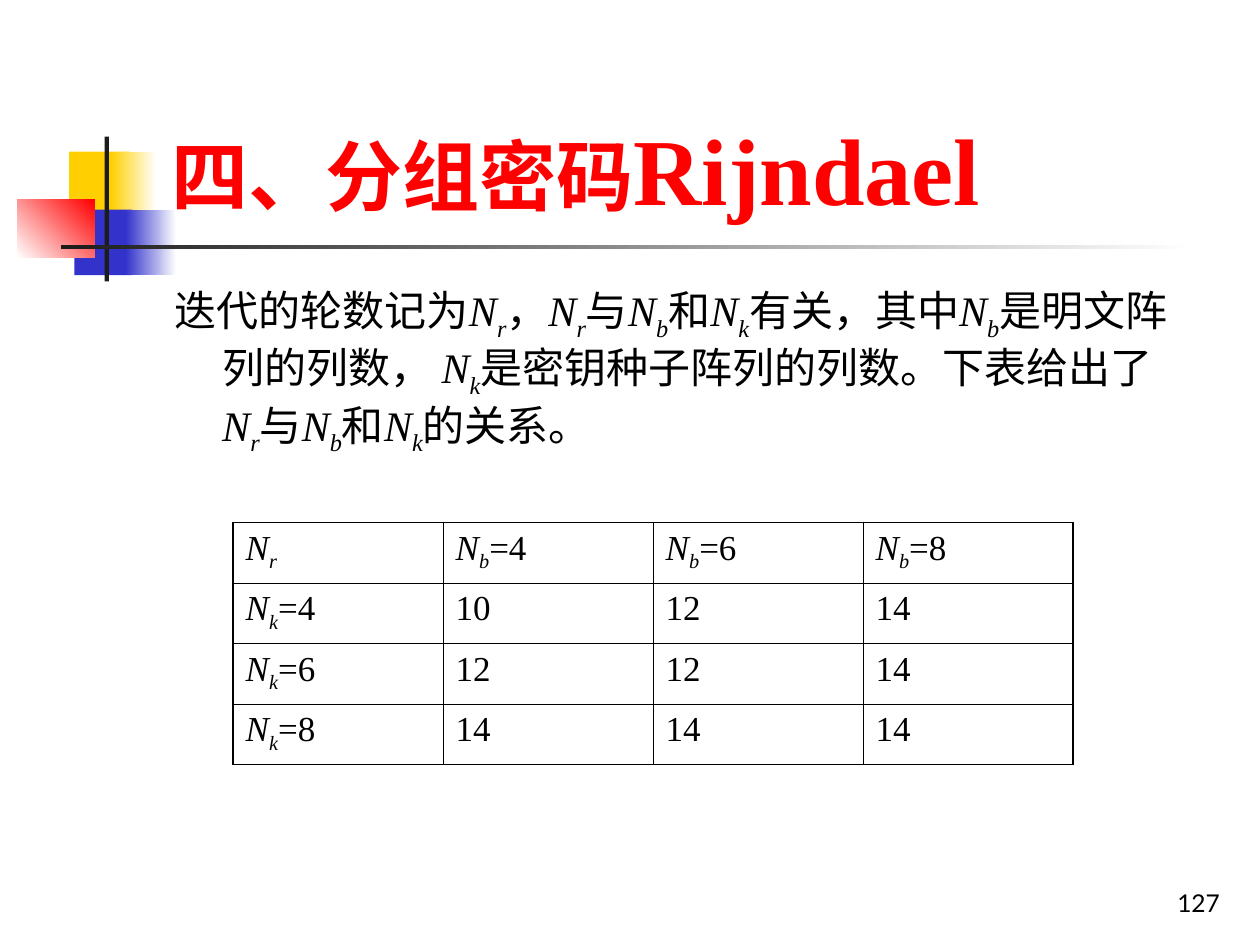
import lxml.etree
import pptx
import pptx.dml.color
import pptx.enum.shapes
import pptx.enum.text
import pptx.oxml.ns
import pptx.util

Pt = pptx.util.Pt
RGBColor = pptx.dml.color.RGBColor
ALIGN = pptx.enum.text.PP_ALIGN
ANCHOR = pptx.enum.text.MSO_ANCHOR
qn = pptx.oxml.ns.qn

BLACK = RGBColor(0, 0, 0)
WHITE = RGBColor(0xFF, 0xFF, 0xFF)
RED = RGBColor(0xFF, 0, 0)
YELLOW = RGBColor(0xFF, 0xCF, 0x01)
BLUE = RGBColor(0x33, 0x33, 0xCC)
CHARCOAL = RGBColor(0x1C, 0x1C, 0x1C)

SERIF = "Times New Roman"
SANS = "Lato"


def add_run(p, text, size=24, font=SERIF, color=BLACK, bold=False, italic=False, baseline=0):
    r = p.add_run()
    r.text = text
    r.font.size = Pt(size)
    r.font.name = font
    r.font.color.rgb = color
    r.font.bold = bold
    r.font.italic = italic
    if baseline:
        r.font._element.set("baseline", str(baseline * 1000))


def add_math(p, text, **fmt):
    """Write text in which N_x stands for an italic N with subscript x."""
    plain, *rest = text.split("N_")
    if plain:
        add_run(p, plain, **fmt)
    for part in rest:
        add_run(p, "N", italic=True, **fmt)
        add_run(p, part[0], italic=True, baseline=-25, **fmt)
        if part[1:]:
            add_run(p, part[1:], **fmt)


def add_block(slide, left, top, width, height, color, end=None, angle=0):
    """Add a plain rectangle, or one that fades from color to end."""
    s = slide.shapes.add_shape(
        pptx.enum.shapes.MSO_SHAPE.RECTANGLE, Pt(left), Pt(top), Pt(width), Pt(height))
    s.shadow.inherit = False
    s.line.fill.background()
    if end is None:
        s.fill.solid()
        s.fill.fore_color.rgb = color
    else:
        s.fill.gradient()
        s.fill.gradient_angle = angle
        for stop, rgb in zip(s.fill.gradient_stops, (color, end)):
            stop.color.rgb = rgb


def add_ornament(slide, left, top):
    add_block(slide, left + 29.5, top + 8.6, 34.5, 37.4, YELLOW)
    add_block(slide, left + 53.3, top + 8.6, 26, 37.4, YELLOW, WHITE)
    add_block(slide, left + 32.5, top + 41.8, 33, 37.4, BLUE)
    add_block(slide, left + 62, top + 41.8, 28.8, 37.4, BLUE, WHITE)
    add_block(slide, left, top + 36, 44, 33.1, WHITE, RED, angle=45)
    add_block(slide, left + 49.8, top, 2.5, 82.8, CHARCOAL)
    add_block(slide, left + 24.7, top + 62, 648, 2.5, CHARCOAL, WHITE)


def add_title(slide, left, top, width, height):
    s = slide.shapes.title
    s.left, s.top, s.width, s.height = Pt(left), Pt(top), Pt(width), Pt(height)
    tf = s.text_frame
    tf.auto_size = pptx.enum.text.MSO_AUTO_SIZE.NONE
    tf.vertical_anchor = ANCHOR.BOTTOM
    p = tf.paragraphs[0]
    p.alignment = ALIGN.LEFT
    add_run(p, "四、分组密码", size=44, font=SANS, color=RED, bold=True)
    add_run(p, "Rijndael", size=54, color=RED, bold=True)


def add_text_box(slide, left, top, width, height, anchor=ANCHOR.TOP):
    """Add an empty wrapping text box and return its first paragraph."""
    tf = slide.shapes.add_textbox(Pt(left), Pt(top), Pt(width), Pt(height)).text_frame
    tf.word_wrap = True
    tf.vertical_anchor = anchor
    return tf.paragraphs[0]


def add_body(slide, left, top, width, height):
    p = add_text_box(slide, left, top, width, height)
    pPr = p._p.get_or_add_pPr()
    pPr.set("marL", str(Pt(27)))
    pPr.set("indent", str(Pt(-27)))
    add_math(p, "迭代的轮数记为N_r，N_r与N_b和N_k有关，其中N_b是明文阵列的列数， "
                "N_k是密钥种子阵列的列数。下表给出了N_r与N_b和N_k的关系。")


def add_page_number(slide, left, top, width, height):
    p = add_text_box(slide, left, top, width, height, ANCHOR.BOTTOM)
    p.alignment = ALIGN.RIGHT
    add_run(p, "127", size=14, font=SANS)


def set_border(cell, side, width):
    tcPr = cell._tc.get_or_add_tcPr()
    ln = lxml.etree.SubElement(tcPr, qn("a:ln" + side), w=str(Pt(width)))
    fill = lxml.etree.SubElement(ln, qn("a:solidFill"))
    lxml.etree.SubElement(fill, qn("a:srgbClr"), val=str(BLACK))


def add_rounds_table(slide, left, top, width, height):
    sizes = (4, 6, 8)
    rows = [["N_r"] + [f"N_b={nb}" for nb in sizes]]
    rows += [[f"N_k={nk}"] + [str(max(nb, nk) + 6) for nb in sizes] for nk in sizes]
    last = len(rows) - 1
    table = slide.shapes.add_table(
        len(rows), len(rows[0]), Pt(left), Pt(top), Pt(width), Pt(height)).table
    for i, row in enumerate(rows):
        for j, text in enumerate(row):
            cell = table.cell(i, j)
            outer = {"L": j == 0, "R": j == last, "T": i == 0, "B": i == last}
            for side, is_outer in outer.items():
                set_border(cell, side, 1.08 if is_outer else 0.45)
            cell.fill.background()
            add_math(cell.text_frame.paragraphs[0], text, size=20)


def main():
    prs = pptx.Presentation()
    prs.slide_width, prs.slide_height = Pt(720), Pt(540)
    slide = prs.slides.add_slide(prs.slide_layouts[5])
    add_ornament(slide, 10, 78)
    add_page_number(slide, 554.4, 491.8, 149.8, 36)
    add_title(slide, 90.7, 16.6, 613.4, 115.2)
    add_body(slide, 92.9, 159.1, 584.6, 324)
    add_rounds_table(slide, 133.2, 298.6, 480, 138.4)
    prs.save("out.pptx")


if __name__ == "__main__":
    main()
